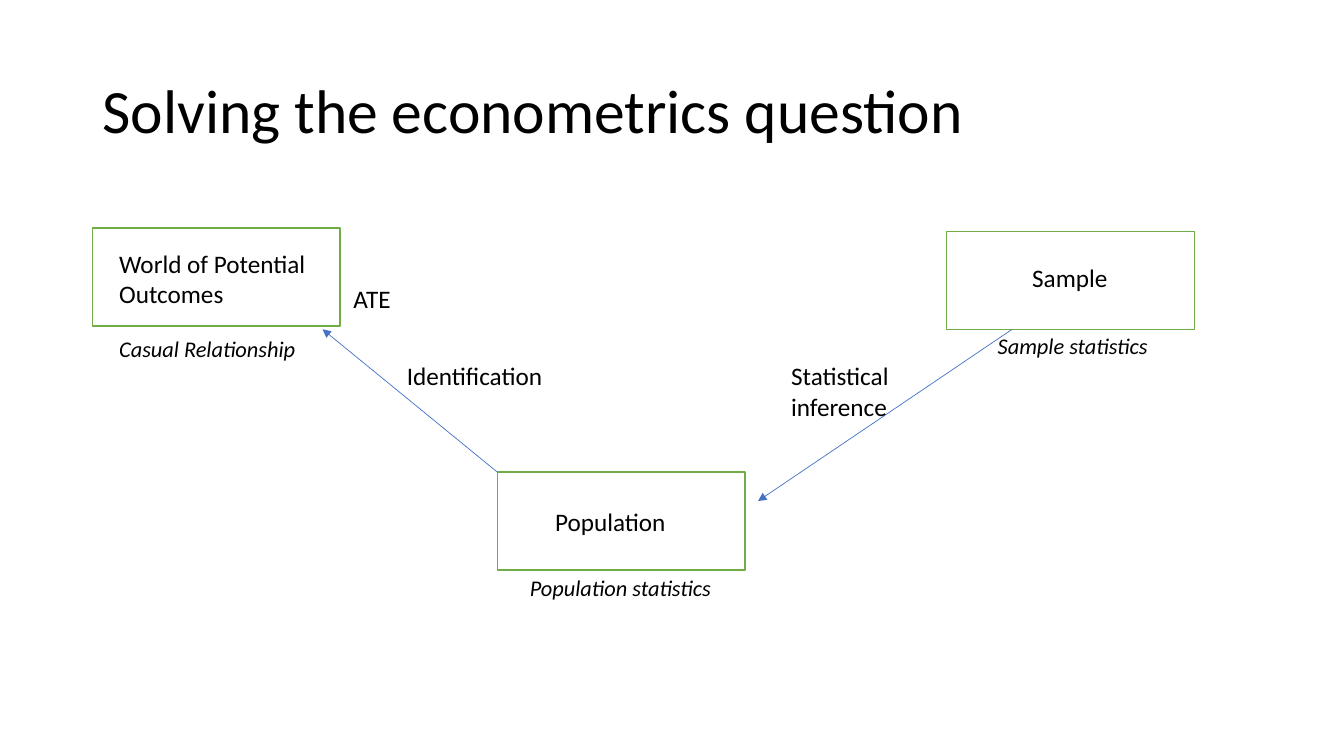
from pptx import Presentation
from pptx.dml.color import RGBColor
from pptx.enum.shapes import MSO_CONNECTOR as Connector, MSO_SHAPE as Shape
from pptx.enum.text import MSO_ANCHOR as Anchor, MSO_AUTO_SIZE as AutoSize, PP_ALIGN as Align
from pptx.oxml.ns import qn
from pptx.util import Inches, Pt
from lxml.etree import SubElement

COLUMNS, ROWS = 160, 90
BOX_SIZE = (29.5, 11.65)


def color(hex_string):
    return RGBColor.from_string(hex_string)


def apply(target, values):
    for name, value in values.items():
        setattr(target, name, value)


class Diagram:
    """Draws boxes, labels and arrows on a grid over one slide."""

    label_font = {"name": "Calibri", "size": Pt(18), "italic": False}
    caption_font = {"name": "Calibri", "size": Pt(16), "italic": True}
    title_font = {"name": "Calibri", "size": Pt(44), "bold": False}
    ink, paper, box_line, arrow_line = "000000", "FFFFFF", "70AD47", "4472C4"

    def __init__(self, presentation):
        self.column = presentation.slide_width / COLUMNS
        self.row = presentation.slide_height / ROWS
        self.slide = presentation.slides.add_slide(presentation.slide_layouts[5])

    def place(self, *grid):
        units = (self.column, self.row) * 2
        return [round(value * unit) for value, unit in zip(grid, units)]

    def set_text(self, shape, text, font, frame_format):
        frame = shape.text_frame
        apply(frame, frame_format)
        paragraph = frame.paragraphs[0]
        paragraph.text = text
        paragraph.alignment = Align.LEFT
        apply(paragraph.font, font)
        paragraph.font.color.rgb = color(self.ink)
        return paragraph

    def title(self, text, *grid):
        shape = self.slide.shapes.title
        apply(shape, dict(zip(("left", "top", "width", "height"), self.place(*grid))))
        frame_format = {"vertical_anchor": Anchor.MIDDLE, "word_wrap": True}
        self.set_text(shape, text, self.title_font, frame_format).line_spacing = 0.9

    def box(self, left, top):
        shape = self.slide.shapes.add_shape(Shape.RECTANGLE, *self.place(left, top, *BOX_SIZE))
        shape.shadow.inherit = False
        shape.fill.solid()
        shape.fill.fore_color.rgb = color(self.paper)
        shape.line.color.rgb = color(self.box_line)
        shape.line.width = Pt(1)

    def label(self, text, left, top, width, height=4.8, font=label_font):
        shape = self.slide.shapes.add_textbox(*self.place(left, top, width, height))
        frame_format = {"word_wrap": True, "auto_size": AutoSize.SHAPE_TO_FIT_TEXT}
        self.set_text(shape, text, font, frame_format)

    def caption(self, text, left, top, width):
        self.label(text, left, top, width, 4.4, self.caption_font)

    def arrow(self, *ends):
        connector = self.slide.shapes.add_connector(Connector.STRAIGHT, *self.place(*ends))
        connector.line.color.rgb = color(self.arrow_line)
        connector.line.width = Pt(0.5)
        properties = connector._element.spPr
        SubElement(properties.find(qn("a:ln")), qn("a:tailEnd"), type="triangle")
        SubElement(properties, qn("a:effectLst"))


def main():
    presentation = Presentation()
    apply(presentation, {"slide_width": Inches(13.333), "slide_height": Inches(7.5)})
    diagram = Diagram(presentation)
    diagram.title("Solving the econometrics question", 11, 4.8, 138, 17.4)

    for corner in ((11, 27.15), (59.2, 56.2), (112.7, 27.6)):
        diagram.box(*corner)
    for ends in ((59.2, 56.2, 38.4, 39.2), (120.5, 39.2, 90.25, 59.65)):
        diagram.arrow(*ends)

    labels = (
        ("World of Potential Outcomes", 13, 28.95, 25.3, 8.5),
        ("Population", 64.9, 59.65, 25.3),
        ("Sample", 121.7, 30.7, 25.3),
        ("Identification", 47.25, 42.25, 19.8),
        ("Statistical inference", 93, 42.35, 24.7, 8.5),
        ("ATE", 40.9, 33.1, 12.7),
    )
    for label in labels:
        diagram.label(*label)

    captions = (
        ("Sample statistics", 117.6, 38.9, 25.3),
        ("Population statistics", 61.9, 67.7, 31.1),
        ("Casual Relationship", 13, 39.35, 31.1),
    )
    for caption in captions:
        diagram.caption(*caption)

    presentation.save("out.pptx")


if __name__ == "__main__":
    main()
